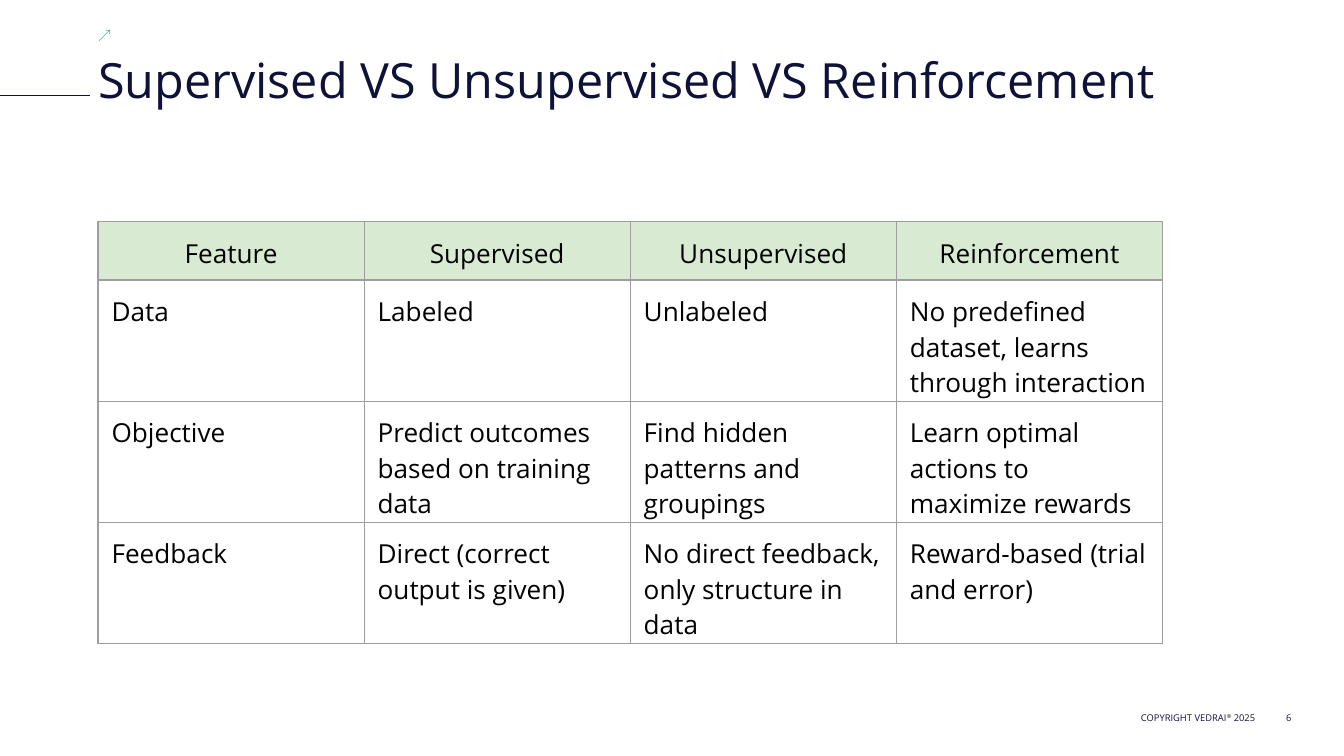
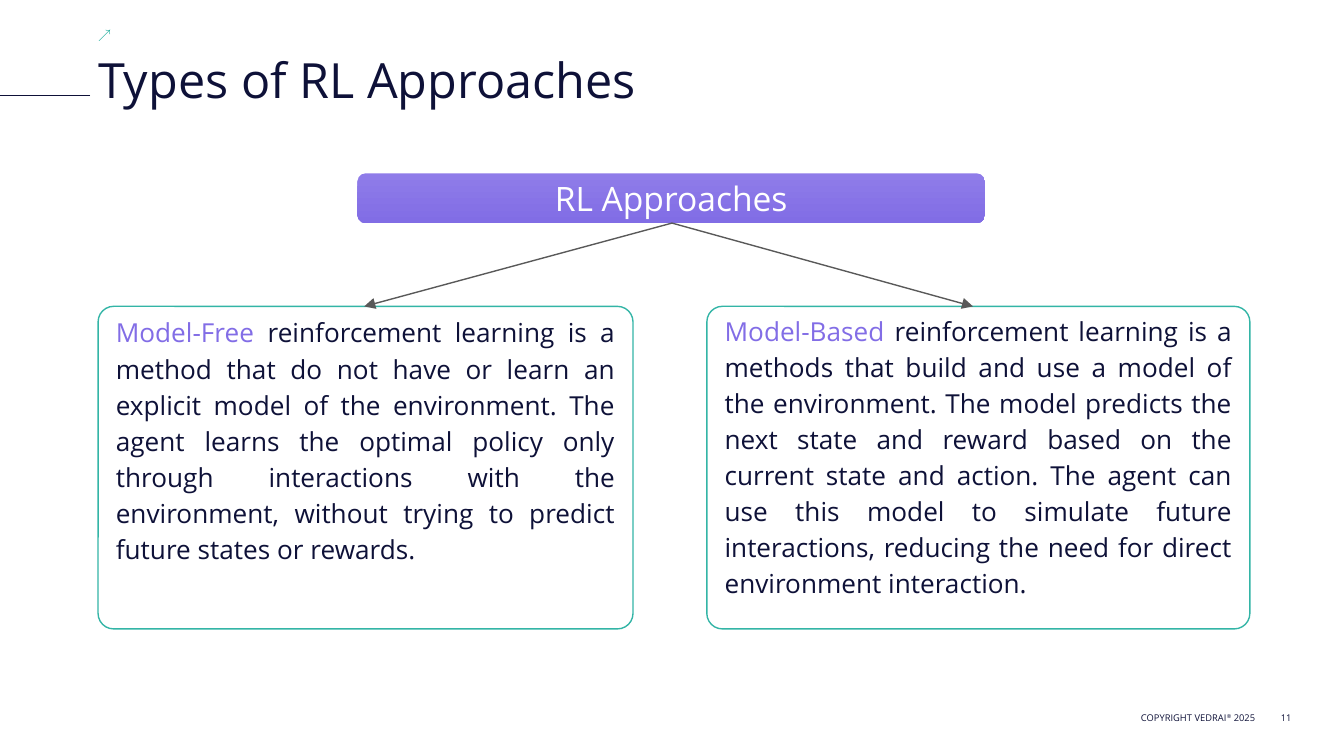
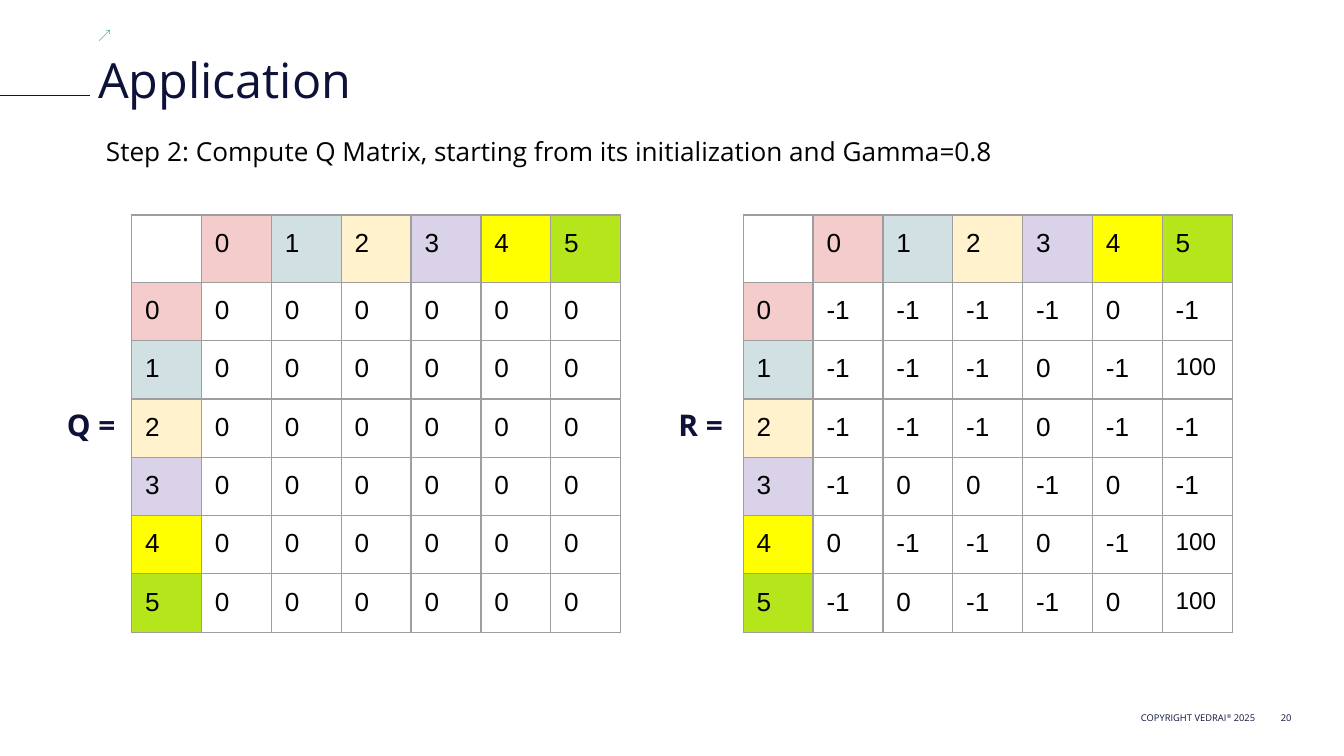
from pptx import Presentation
from pptx.dml.color import RGBColor as RGB
from pptx.enum.shapes import MSO_CONNECTOR as CONN, MSO_SHAPE as SHAPE
from pptx.enum.text import MSO_ANCHOR as ANCHOR, PP_ALIGN as ALIGN
from pptx.oxml.ns import qn
from pptx.util import Inches, Pt
from lxml.etree import SubElement

COLORS = {
    "navy": "0E1138", "teal": "00A491", "card": "33B5A6", "violet": "826DE6",
    "pill_top": "8F7CE9", "pill_bottom": "816DE5", "arrow": "595959",
    "grid": "9E9E9E", "head": "D9EAD3", "black": "000000", "white": "FFFFFF",
}
STATES = ["F4CCCC", "D0E0E3", "FFF2CC", "D9D2E9", "FFFF00", "B5E61C"]
SIDES = ("margin_left", "margin_top", "margin_right", "margin_bottom")
PAD = (0.1, 0.1, 0.1, 0.1)
FLUSH = (0, 0, 0, 0)
LEFT = 0.73
ROW = 0.42


def rgb(name):
    """Return the colour for a palette name or a hex string."""
    return RGB.from_string(COLORS.get(name, name))


def set_all(obj, values):
    """Set every attribute in values on obj."""
    for key, value in values.items():
        setattr(obj, key, value)


def add_run(p, text, size, color, name="Open Sans", bold=False):
    """Append a formatted run to a paragraph."""
    r = p.add_run()
    r.text = text
    set_all(r.font, {"size": Pt(size), "name": name, "bold": bold})
    r.font.color.rgb = rgb(color)
    return r


def set_frame(tf, insets=PAD, anchor=ANCHOR.TOP, align=ALIGN.LEFT):
    """Prepare a text frame and return its first paragraph."""
    set_all(tf, dict(zip(SIDES, map(Inches, insets))))
    set_all(tf, {"word_wrap": True, "vertical_anchor": anchor})
    p = tf.paragraphs[0]
    p.alignment = align
    return p


def add_text(s, box, text, size, color="navy", bold=False, **frame):
    """Add a one-paragraph text box and return the paragraph."""
    tf = s.shapes.add_textbox(*map(Inches, box)).text_frame
    p = set_frame(tf, **frame)
    add_run(p, text, size, color, bold=bold)
    return p


def add_line(s, start, end, color, arrow=False):
    """Draw a straight line, with an arrowhead at its end if asked."""
    c = s.shapes.add_connector(CONN.STRAIGHT, *map(Inches, (*start, *end)))
    c.line.width = Pt(0.75)
    c.line.color.rgb = rgb(color)
    if arrow:
        SubElement(c.line._get_or_add_ln(), qn("a:tailEnd"), type="triangle")
    SubElement(c._element.spPr, qn("a:effectLst"))


def add_round_box(s, box, radius):
    """Add a rounded rectangle without a shadow."""
    sp = s.shapes.add_shape(SHAPE.ROUNDED_RECTANGLE, *map(Inches, box))
    sp.adjustments[0] = radius
    sp.shadow.inherit = False
    return sp


def set_borders(cell):
    """Draw a thin grey border on all sides of a cell."""
    tcPr = cell._tc.get_or_add_tcPr()
    for i, side in enumerate(("lnL", "lnR", "lnT", "lnB")):
        ln = tcPr.makeelement(qn(f"a:{side}"), {"w": str(Pt(0.75))})
        fill = SubElement(ln, qn("a:solidFill"))
        SubElement(fill, qn("a:srgbClr"), val=COLORS["grid"])
        tcPr.insert(i, ln)


def add_grid(s, left, top, col_width, rows, fill_of, font="Open Sans",
             head_align=ALIGN.LEFT):
    """Add a bordered table; fill_of(i, j) gives a cell colour or None."""
    n = len(rows[0])
    size = map(Inches, (left, top, col_width * n, ROW * len(rows)))
    table = s.shapes.add_table(len(rows), n, *size).table
    set_all(table, {"first_row": False, "horz_banding": False})
    for col in table.columns:
        col.width = Inches(col_width)
    for i, row in enumerate(rows):
        table.rows[i].height = Inches(ROW)
        for j, value in enumerate(row):
            cell = table.cell(i, j)
            set_all(cell, dict(zip(SIDES, map(Inches, PAD))))
            if value != "":
                p = cell.text_frame.paragraphs[0]
                p.alignment = ALIGN.LEFT if i else head_align
                add_run(p, str(value), 13 if value == 100 else 14, "black", font)
            color = fill_of(i, j)
            if color:
                cell.fill.solid()
                cell.fill.fore_color.rgb = rgb(color)
            else:
                cell.fill.background()
            set_borders(cell)


def add_base(prs, title, number):
    """Add a slide with the shared arrow, rule, footer and title."""
    s = prs.slides.add_slide(prs.slide_layouts[6])
    add_text(s, (LEFT, 0.2, 0.18, 0.23), "↗", 7, "teal", insets=(0, 0, 0.07, 0.04))
    add_line(s, (0.67, 0.71), (-0.17, 0.71), "navy")
    foot = {"insets": FLUSH, "anchor": ANCHOR.BOTTOM, "align": ALIGN.RIGHT}
    p = add_text(s, (8, 5.22, 1.34, 0.16), "COPYRIGHT VEDRAI", 5, **foot)
    p.line_spacing = 1.15
    mark = add_run(p, "®", 5, "navy")
    mark._r.get_or_add_rPr().set("baseline", "30000")
    add_run(p, " 2025", 5, "navy")
    add_text(s, (9.36, 5.22, 0.25, 0.16), str(number), 5, **foot)
    add_text(s, (LEFT, 0.37, 8.44, 0.37), title, 26, insets=FLUSH)
    return s


def add_card(s, box, inset, term, text):
    """Add an outlined card that opens with a highlighted term."""
    sp = add_round_box(s, box, 0.048)
    sp.fill.background()
    sp.line.width = Pt(0.75)
    sp.line.color.rgb = rgb("card")
    p = set_frame(sp.text_frame, (0.1, inset, 0.1, 0), align=ALIGN.JUSTIFY)
    p.line_spacing = 1.15
    add_run(p, term, 14, "violet")
    add_run(p, text, 14, "navy")


def add_pill(s, box, text):
    """Add the gradient heading box."""
    sp = add_round_box(s, box, 0.167)
    sp.fill.gradient()
    sp.fill.gradient_angle = 270
    for stop, pos, name in zip(sp.fill.gradient_stops, (0, 1), ("pill_top", "pill_bottom")):
        stop.position = pos
        stop.color.rgb = rgb(name)
    sp.line.fill.background()
    p = set_frame(sp.text_frame, anchor=ANCHOR.MIDDLE, align=ALIGN.CENTER)
    add_run(p, text, 18, "white")


def add_matrix(s, left, top, name, values):
    """Add a labelled state matrix with coloured row and column heads."""
    rows = [["", *range(len(STATES))]] + [[i, *row] for i, row in enumerate(values)]

    def state_color(i, j):
        """Colour the heads by their state."""
        return STATES[i + j - 1] if (i == 0) != (j == 0) else None

    add_grid(s, left, top, 0.52, rows, state_color, "Arial")
    add_text(s, (left - 0.58, top + 1.33, 0.7, 0.37), f"{name} =", 16, bold=True)


def comparison_slide(prs):
    """Compare the three kinds of learning in a table."""
    s = add_base(prs, "Supervised VS Unsupervised VS Reinforcement", 6)
    rows = [
        ["Feature", "Supervised", "Unsupervised", "Reinforcement"],
        ["Data", "Labeled", "Unlabeled",
         "No predefined dataset, learns through interaction"],
        ["Objective", "Predict outcomes based on training data",
         "Find hidden patterns and groupings",
         "Learn optimal actions to maximize rewards"],
        ["Feedback", "Direct (correct output is given)",
         "No direct feedback, only structure in data",
         "Reward-based (trial and error)"],
    ]
    add_grid(s, LEFT, 1.65, 1.98, rows,
             lambda i, j: None if i else "head", head_align=ALIGN.CENTER)


def approaches_slide(prs):
    """Split the approaches into two cards under one heading."""
    s = add_base(prs, "Types of RL Approaches", 11)
    top = 2.28
    add_pill(s, (2.66, 1.29, 4.67, 0.37), "RL Approaches")
    cards = [
        (LEFT, 3.98, 2.71, 0.01, "Model-Free",
         " reinforcement learning is a method that do not have or learn an explicit "
         "model of the environment. The agent learns the optimal policy only through "
         "interactions with the environment, without trying to predict future states "
         "or rewards."),
        (5.26, 4.04, 7.24, 0, "Model-Based",
         " reinforcement learning is a methods that build and use a model of the "
         "environment. The model predicts the next state and reward based on the "
         "current state and action. The agent can use this model to simulate future "
         "interactions, reducing the need for direct environment interaction."),
    ]
    for left, width, tip, inset, term, text in cards:
        add_card(s, (left, top, width, 2.4), inset, term, text)
        add_line(s, (5, 1.66), (tip, top), "arrow", arrow=True)


def application_slide(prs):
    """Show the initial Q matrix next to the reward matrix."""
    s = add_base(prs, "Application", 20)
    add_text(s, (0.69, 0.91, 8.71, 0.44),
             "Step 2: Compute Q Matrix, starting from its initialization and Gamma=0.8",
             14, "black")
    rewards = [
        [-1, -1, -1, -1, 0, -1],
        [-1, -1, -1, 0, -1, 100],
        [-1, -1, -1, 0, -1, -1],
        [-1, 0, 0, -1, 0, -1],
        [0, -1, -1, 0, -1, 100],
        [-1, 0, -1, -1, 0, 100],
    ]
    zeros = [[0] * len(row) for row in rewards]
    add_matrix(s, 5.53, 1.6, "R", rewards)
    add_matrix(s, 0.98, 1.6, "Q", zeros)


def main():
    """Build and save the deck."""
    prs = Presentation()
    width = Inches(10)
    set_all(prs, {"slide_width": width, "slide_height": width * 9 // 16})
    for build in (comparison_slide, approaches_slide, application_slide):
        build(prs)
    prs.save("out.pptx")


if __name__ == "__main__":
    main()
